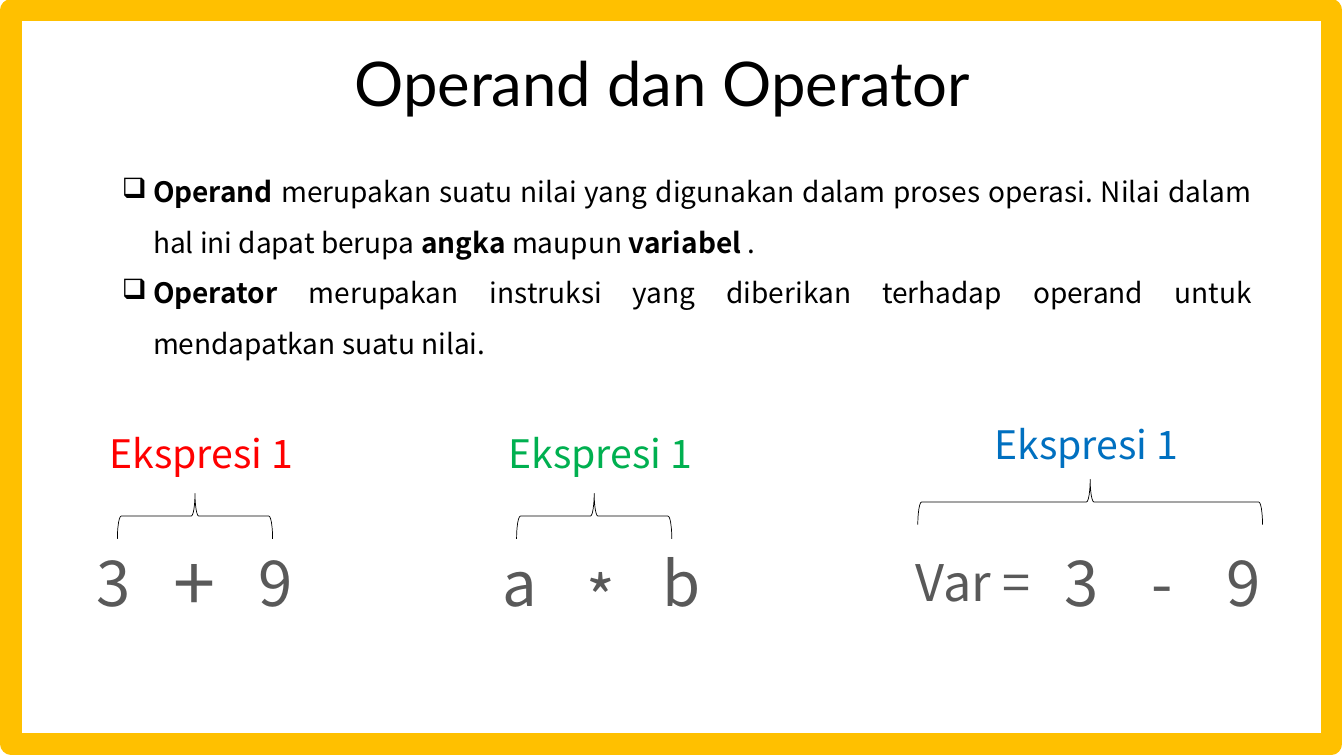
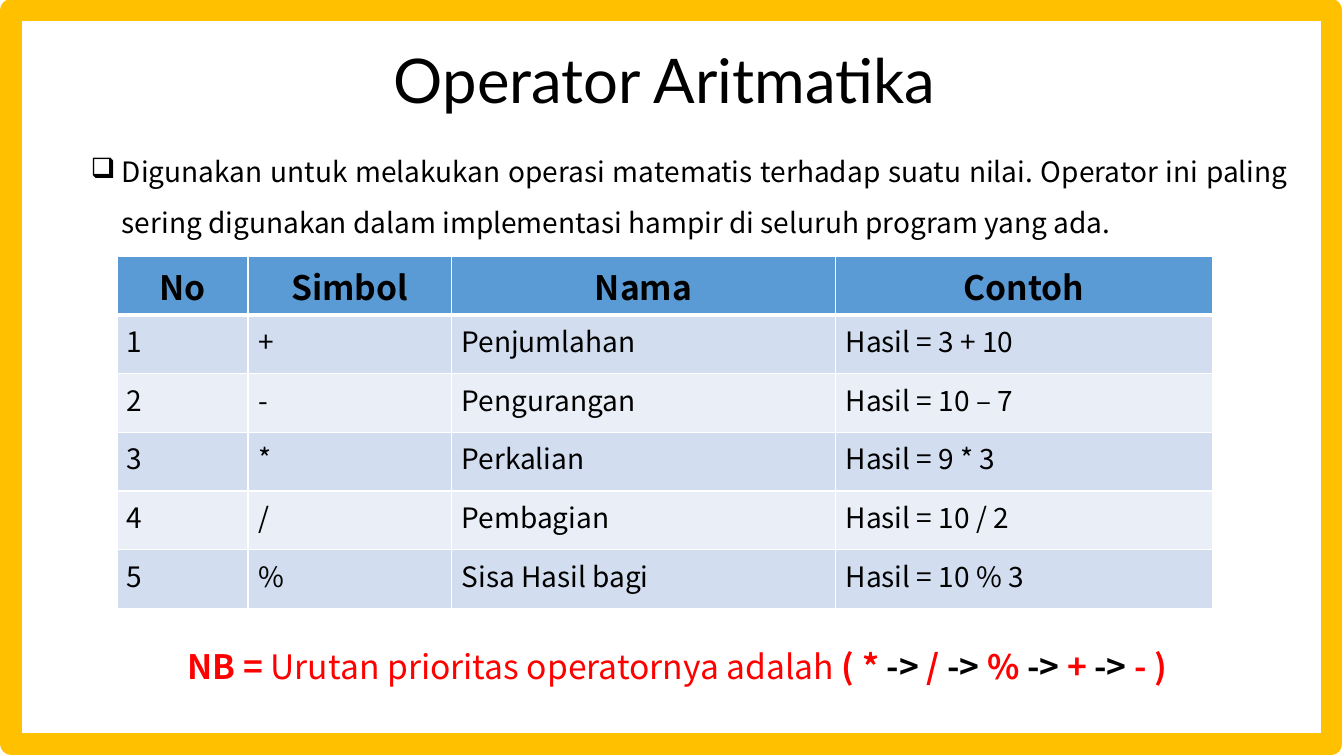
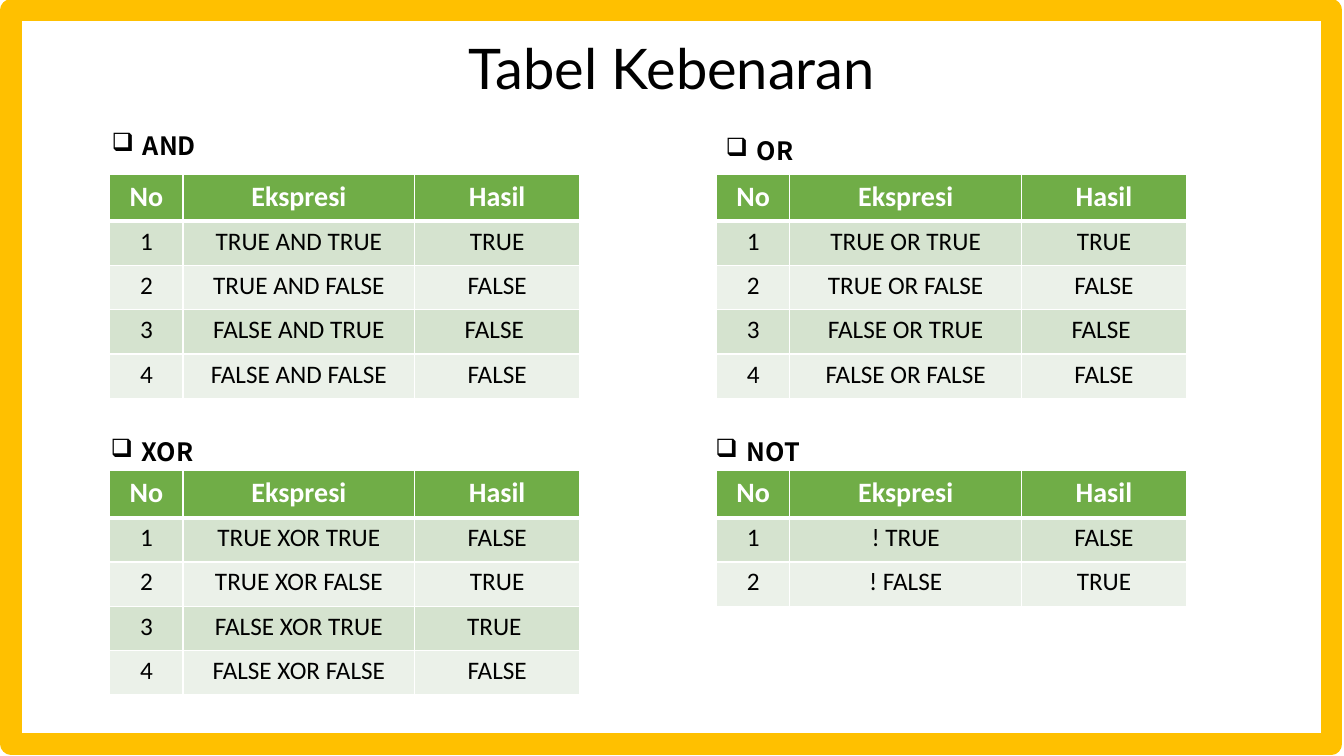
from dataclasses import dataclass
from itertools import product
from typing import Callable, Optional

from lxml.etree import SubElement
from pptx import Presentation
from pptx.dml.color import RGBColor
from pptx.enum.shapes import MSO_SHAPE as Preset
from pptx.enum.text import MSO_ANCHOR as Anchor, MSO_AUTO_SIZE as AutoSize, PP_ALIGN as Align
from pptx.oxml import parse_xml
from pptx.oxml.ns import nsdecls, qn
from pptx.shapes.autoshape import Shape
from pptx.slide import Slide
from pptx.table import _Cell as Cell
from pptx.text.text import TextFrame, _Paragraph as Paragraph
from pptx.util import Inches, Pt

COLORS = {
    "black": "000000", "white": "FFFFFF", "frame": "FFC000", "symbol": "595959",
    "red": "FF0000", "green": "00B050", "blue": "0070C0",
    "blue_head": "5B9BD5", "blue_dark": "D2DEEF", "blue_light": "EAEFF7",
    "green_head": "70AD47", "green_dark": "D5E3CF", "green_light": "EBF1E9",
}
TITLE_FONT, BODY_FONT, TABLE_FONT = "Lato", "Noto Sans CJK JP", "Calibri"
GRID = 0.1  # inches per grid column and per grid row
COLUMNS, ROWS = 133.33, 75
BULLET = "❑"


@dataclass(frozen=True)
class Box:
    """A place on the grid, in columns and rows."""
    left: float
    top: float
    width: float
    height: float

    def place(self) -> tuple[int, int, int, int]:
        return tuple(grid(value) for value in (self.left, self.top, self.width, self.height))


@dataclass(frozen=True)
class Words:
    text: str
    bold: bool = False
    color: str = "black"


@dataclass(frozen=True)
class Symbol:
    text: str
    box: Box
    size: float = 44


@dataclass(frozen=True)
class Expression:
    color: str
    label_center: float
    label_top: float
    brace_center: float
    brace_middle: float
    brace_span: float
    symbols: tuple[Symbol, ...]


@dataclass(frozen=True)
class TableStyle:
    palette: str
    font: str
    head_size: float
    body_size: float
    head_color: str
    body_align: Align
    widths: tuple[float, ...]
    head_height: float
    row_height: float


@dataclass(frozen=True)
class TruthTable:
    name: str
    caption: tuple[float, float]
    rows: tuple[tuple[str, str], ...]


@dataclass(frozen=True)
class Page:
    title: str
    title_box: Box
    title_size: float
    build: Callable[[Slide], None]


def grid(value: float) -> int:
    return Inches(value * GRID)


def rgb(name: str) -> RGBColor:
    return RGBColor.from_string(COLORS[name])


def add_run(paragraph: Paragraph, words: Words, size: float, font: str = BODY_FONT) -> None:
    run = paragraph.add_run()
    run.text = words.text
    run.font.name, run.font.size, run.font.bold = font, Pt(size), words.bold
    run.font.color.rgb = rgb(words.color)


def add_outline(slide: Slide, preset: Preset, box: Box, color: str, width: float) -> Shape:
    """Draw an unfilled preset shape."""
    shape = slide.shapes.add_shape(preset, *box.place())
    shape.shadow.inherit = False
    shape.fill.background()
    shape.line.color.rgb = rgb(color)
    shape.line.width = Pt(width)
    return shape


def add_label(slide: Slide, box: Box, words: Words, size: float) -> None:
    frame = add_outline(slide, Preset.RECTANGLE, box, "white", 1).text_frame
    frame.vertical_anchor = Anchor.MIDDLE
    frame.paragraphs[0].alignment = Align.CENTER
    add_run(frame.paragraphs[0], words, size)


def indent(paragraph: Paragraph, margin: float, first: float, bullet: Optional[str]) -> None:
    properties = paragraph._p.get_or_add_pPr()
    properties.set("marL", str(grid(margin)))
    properties.set("indent", str(grid(first)))
    if bullet:
        SubElement(properties, qn("a:buChar")).set("char", bullet)


def add_text_frame(slide: Slide, box: Box) -> TextFrame:
    frame = slide.shapes.add_textbox(*box.place()).text_frame
    frame.word_wrap = True
    frame.auto_size = AutoSize.SHAPE_TO_FIT_TEXT
    return frame


def add_bullets(slide: Slide, box: Box, items: list[list[Words]], size: float) -> None:
    frame = add_text_frame(slide, box)
    for number, item in enumerate(items):
        paragraph = frame.add_paragraph() if number else frame.paragraphs[0]
        paragraph.alignment, paragraph.level, paragraph.line_spacing = Align.JUSTIFY, 1, 1.5
        indent(paragraph, 8.1, -3.1, BULLET)
        for words in item:
            add_run(paragraph, words, size)


def set_borders(cell: Cell, top: float, bottom: float) -> None:
    properties = cell._tc.get_or_add_tcPr()
    widths = {"lnL": 1, "lnR": 1, "lnT": top, "lnB": bottom}
    for position, (side, width) in enumerate(widths.items()):
        properties.insert(position, parse_xml(
            f'<a:{side} {nsdecls("a")} w="{Pt(width)}"><a:solidFill>'
            f'<a:srgbClr val="{COLORS["white"]}"/></a:solidFill></a:{side}>'))


def add_grid_table(slide: Slide, left: float, top: float, style: TableStyle,
                   rows: list[tuple[str, ...]]) -> None:
    """Draw a table whose first row is the heading."""
    box = Box(left, top, sum(style.widths),
              style.head_height + style.row_height * (len(rows) - 1))
    table = slide.shapes.add_table(len(rows), len(style.widths), *box.place()).table
    table.horz_banding = False
    for column, width in zip(table.columns, style.widths):
        column.width = grid(width)
    for row_number, texts in enumerate(rows):
        head = row_number == 0
        table.rows[row_number].height = grid(style.head_height if head else style.row_height)
        shade = "head" if head else ("light", "dark")[row_number % 2]
        for column_number, text in enumerate(texts):
            cell = table.cell(row_number, column_number)
            cell.fill.solid()
            cell.fill.fore_color.rgb = rgb(f"{style.palette}_{shade}")
            set_borders(cell, top=3 if row_number == 1 else 1, bottom=3 if head else 1)
            paragraph = cell.text_frame.paragraphs[0]
            paragraph.alignment = Align.CENTER if head else style.body_align
            words = Words(text, head, style.head_color if head else "black")
            add_run(paragraph, words, style.head_size if head else style.body_size, style.font)


def symbol_row(left: float, texts: str, sizes: tuple[float, ...] = (44, 44, 44)) -> tuple[Symbol, ...]:
    """Set one symbol in each of a run of equal boxes."""
    return tuple(Symbol(text, Box(left + number * 8.03, 53.5, 8, 8.4), size)
                 for number, (text, size) in enumerate(zip(texts, sizes)))


PRODUCT_LEFT, PRODUCT_RIGHT = (symbol_row(47.6, "a*b")[number] for number in (0, 2))
EXPRESSIONS = (
    Expression("red", 19.95, 42.3, 19.35, 51.2, 15.4, symbol_row(7.3, "3+9", (44, 54, 44))),
    Expression("green", 59.55, 42.3, 58.95, 51.2, 15.4,
               (PRODUCT_LEFT, Symbol("*", Box(55.6, 56.2, 8, 6)), PRODUCT_RIGHT)),
    Expression("blue", 107.75, 41.4, 108.15, 49.8, 34.2,
               symbol_row(103.3, "3-9") + (Symbol("Var =", Box(88.4, 53.5, 16.2, 8.4), 36),)),
)

ARITHMETIC_STYLE = TableStyle("blue", BODY_FONT, 24, 20, "black", Align.LEFT,
                              (13, 20.2, 38.1, 37.4), 5.83, 5.83)
ARITHMETIC = [
    ("No", "Simbol", "Nama", "Contoh"),
    ("1", "+", "Penjumlahan", "Hasil = 3 + 10"),
    ("2", "-", "Pengurangan", "Hasil = 10 – 7"),
    ("3", "*", "Perkalian", "Hasil = 9 * 3"),
    ("4", "/", "Pembagian", "Hasil = 10 / 2"),
    ("5", "%", "Sisa Hasil bagi", "Hasil = 10 % 3"),
]

TRUTH_STYLE = TableStyle("green", TABLE_FONT, 20, 18, "white", Align.CENTER,
                         (7.25, 23, 16.35), 4.66, 4.39)


def binary_rows(name: str, *results: str) -> tuple[tuple[str, str], ...]:
    pairs = product(("TRUE", "FALSE"), repeat=2)
    return tuple((f"{first} {name} {second}", result)
                 for (first, second), result in zip(pairs, results))


TRUTH_TABLES = (
    TruthTable("AND", (5.1, 10.9), binary_rows("AND", "TRUE", "FALSE", "FALSE ", "FALSE")),
    TruthTable("OR", (66, 11.4), binary_rows("OR", "TRUE", "FALSE", "FALSE ", "FALSE")),
    TruthTable("XOR", (5, 41.3), binary_rows("XOR", "FALSE", "TRUE", "TRUE ", "FALSE")),
    TruthTable("NOT", (65, 41.3), (("! TRUE", "FALSE"), ("! FALSE", "TRUE"))),
)


def add_expression(slide: Slide, expression: Expression) -> None:
    for symbol in expression.symbols:
        add_label(slide, symbol.box, Words(symbol.text, color="symbol"), symbol.size)
    depth, span = 4.5, expression.brace_span
    brace_box = Box(expression.brace_center - depth / 2, expression.brace_middle - span / 2,
                    depth, span)
    add_outline(slide, Preset.RIGHT_BRACE, brace_box, "black", 0.5).rotation = 270
    label_width = 20.7
    label_box = Box(expression.label_center - label_width / 2, expression.label_top,
                    label_width, 5.3)
    add_label(slide, label_box, Words("Ekspresi 1", color=expression.color), 28)


def build_operands(slide: Slide) -> None:
    add_bullets(slide, Box(6.1, 15.2, 119.1, 21.2), [
        [Words("Operand ", True),
         Words("merupakan suatu nilai yang digunakan dalam proses operasi. "
               "Nilai dalam hal ini dapat berupa "),
         Words("angka ", True), Words("maupun "), Words("variabel", True), Words(" .")],
        [Words("Operator ", True),
         Words("merupakan instruksi yang diberikan terhadap operand untuk "
               "mendapatkan suatu nilai.")],
    ], 20)
    for expression in EXPRESSIONS:
        add_expression(slide, expression)


def build_arithmetic(slide: Slide) -> None:
    add_bullets(slide, Box(3, 13.2, 125.8, 11.1), [[
        Words("Digunakan untuk melakukan operasi matematis terhadap suatu nilai. Operator ini "
              "paling sering digunakan dalam implementasi hampir di seluruh program yang ada."),
    ]], 20)
    add_grid_table(slide, 11.6, 25.4, ARITHMETIC_STYLE, ARITHMETIC)

    paragraph = add_text_frame(slide, Box(1.8, 61.6, 125.8, 6.5)).paragraphs[0]
    paragraph.alignment, paragraph.level, paragraph.line_spacing = Align.CENTER, 1, 1.5
    indent(paragraph, 5, 0, None)
    note = [Words("NB = ", True, "red"),
            Words("Urutan prioritas operatornya adalah ", False, "red"),
            Words("( * ", True, "red")]
    for operator in (" / ", " % ", " + ", " - )"):
        note += [Words("->", True), Words(operator, True, "red")]
    for words in note:
        add_run(paragraph, words, 24)


def build_truth_tables(slide: Slide) -> None:
    for number, truth_table in enumerate(TRUTH_TABLES):
        row, column = divmod(number, 2)
        rows = [("No", "Ekspresi", "Hasil")]
        rows += [(str(line), *texts) for line, texts in enumerate(truth_table.rows, 1)]
        add_grid_table(slide, 10.9 + column * 60.2, 17.3 + row * 29.4, TRUTH_STYLE, rows)
        add_bullets(slide, Box(*truth_table.caption, 19.7, 5.1),
                    [[Words(truth_table.name, True)]], 18)


PAGES = (
    Page("Operand dan Operator", Box(24.9, 3.8, 81.6, 9.6), 44, build_operands),
    Page("Operator Aritmatika", Box(10.9, 4.3, 110.1, 8), 44, build_arithmetic),
    Page("Tabel Kebenaran", Box(38.6, 3.1, 56.1, 8), 40, build_truth_tables),
)


def set_title(slide: Slide, page: Page) -> None:
    title = slide.shapes.title
    title.left, title.top, title.width, title.height = page.title_box.place()
    frame = title.text_frame
    frame.auto_size, frame.vertical_anchor = AutoSize.NONE, Anchor.MIDDLE
    paragraph = frame.paragraphs[0]
    paragraph.alignment, paragraph.line_spacing = Align.CENTER, 0.9
    add_run(paragraph, Words(page.title), page.title_size, TITLE_FONT)


def main() -> None:
    presentation = Presentation()
    presentation.slide_width, presentation.slide_height = grid(COLUMNS), grid(ROWS)
    title_only = presentation.slide_layouts[5]
    for page in PAGES:
        slide = presentation.slides.add_slide(title_only)
        set_title(slide, page)
        page.build(slide)
        add_outline(slide, Preset.RECTANGLE, Box(1.1, 1, 131, 72.8), "frame", 15.25)
    presentation.save("out.pptx")


if __name__ == "__main__":
    main()
